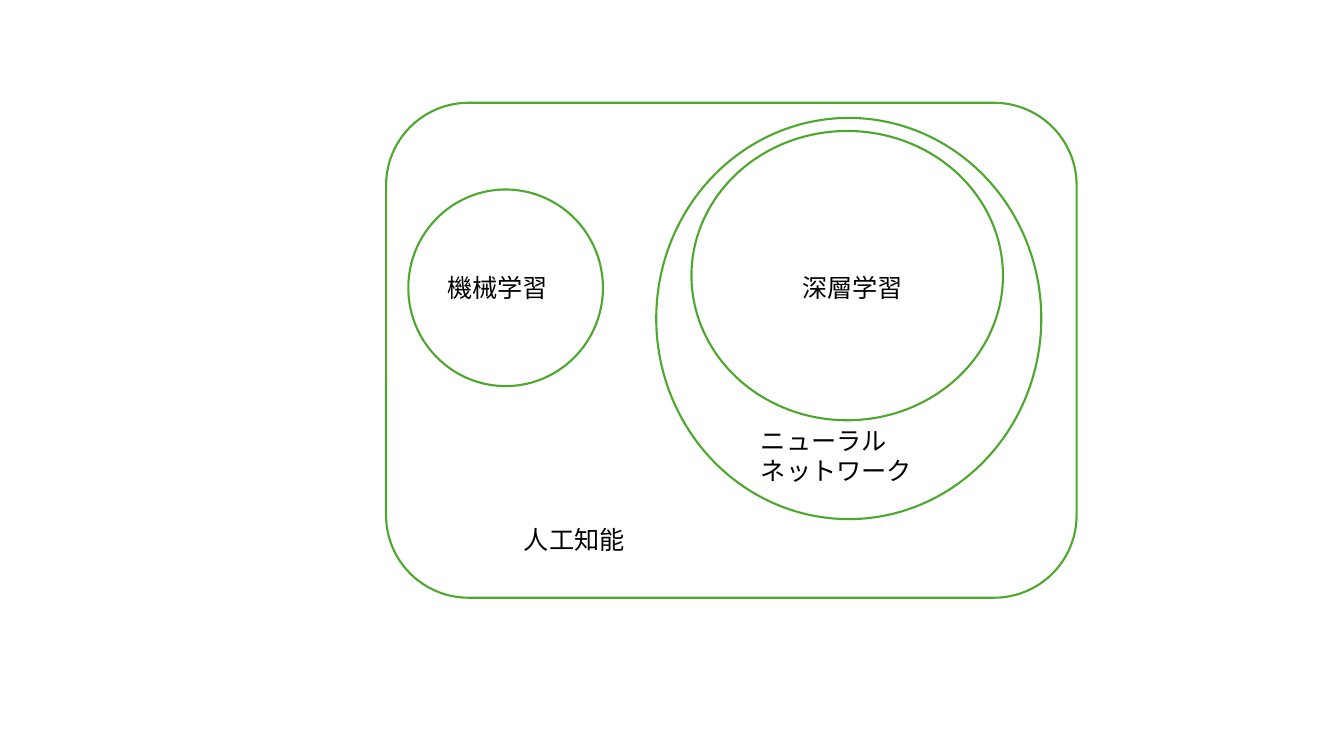
from dataclasses import dataclass

import pptx
import pptx.dml.color
import pptx.enum.shapes
import pptx.enum.text
import pptx.util

Shape = pptx.enum.shapes.MSO_SHAPE
Color = pptx.dml.color.RGBColor


@dataclass(frozen=True)
class Theme:
    paper: Color = Color(0xFF, 0xFF, 0xFF)
    green: Color = Color(0x4E, 0xA7, 0x2E)
    ink: Color = Color(0, 0, 0)
    font: str = "Lato"
    size: float = 18
    line: float = 1.5


@dataclass(frozen=True)
class Box:
    """Left, top, width and height in percent of the slide's size."""
    left: float
    top: float
    width: float
    height: float


@dataclass(frozen=True)
class Field:
    kind: Shape
    box: Box


@dataclass(frozen=True)
class Label:
    text: str
    box: Box


THEME = Theme()
WIDE = pptx.util.Inches(13.33)
HIGH = pptx.util.Inches(7.5)

FIELDS = (
    Field(Shape.ROUNDED_RECTANGLE, Box(28.73, 13.6, 51.38, 65.47)),
    Field(Shape.OVAL, Box(48.83, 15.6, 28.65, 53.07)),
    Field(Shape.OVAL, Box(51.45, 17.33, 23.18, 38.27)),
    Field(Shape.OVAL, Box(30.38, 25.07, 14.48, 26)),
)
LABELS = (
    Label("人工知能", Box(38.25, 68.67, 9.45, 5.33)),
    Label("機械学習", Box(32.55, 35.33, 9.08, 5.33)),
    Label("ニューラル\nネットワーク", Box(55.88, 55.6, 12.9, 9.47)),
    Label("深層学習", Box(58.95, 35.33, 9.08, 5.33)),
)


def place(box: Box) -> tuple[int, int, int, int]:
    """Turn percent shares into slide lengths."""
    return (int(box.left * WIDE / 100), int(box.top * HIGH / 100),
            int(box.width * WIDE / 100), int(box.height * HIGH / 100))


def style(item: object, form: dict[str, object]) -> None:
    for key, value in form.items():
        setattr(item, key, value)


def draw_field(slide: pptx.slide.Slide, field: Field) -> None:
    shape = slide.shapes.add_shape(field.kind, *place(field.box))
    shape.shadow.inherit = False
    shape.fill.solid()
    shape.fill.fore_color.rgb = THEME.paper
    shape.line.color.rgb = THEME.green
    shape.line.width = pptx.util.Pt(THEME.line)


def draw_label(slide: pptx.slide.Slide, label: Label) -> None:
    frame = slide.shapes.add_textbox(*place(label.box)).text_frame
    style(frame, {"text": label.text, "word_wrap": False,
                  "auto_size": pptx.enum.text.MSO_AUTO_SIZE.SHAPE_TO_FIT_TEXT})
    for para in frame.paragraphs:
        for run in para.runs:
            style(run.font, {"name": THEME.font,
                             "size": pptx.util.Pt(THEME.size)})
            run.font.color.rgb = THEME.ink


def main() -> None:
    deck = pptx.Presentation()
    style(deck, {"slide_width": WIDE, "slide_height": HIGH})
    slide = deck.slides.add_slide(deck.slide_layouts.get_by_name("Blank"))
    for field in FIELDS:
        draw_field(slide, field)
    for label in LABELS:
        draw_label(slide, label)
    deck.save("out.pptx")


if __name__ == "__main__":
    main()
